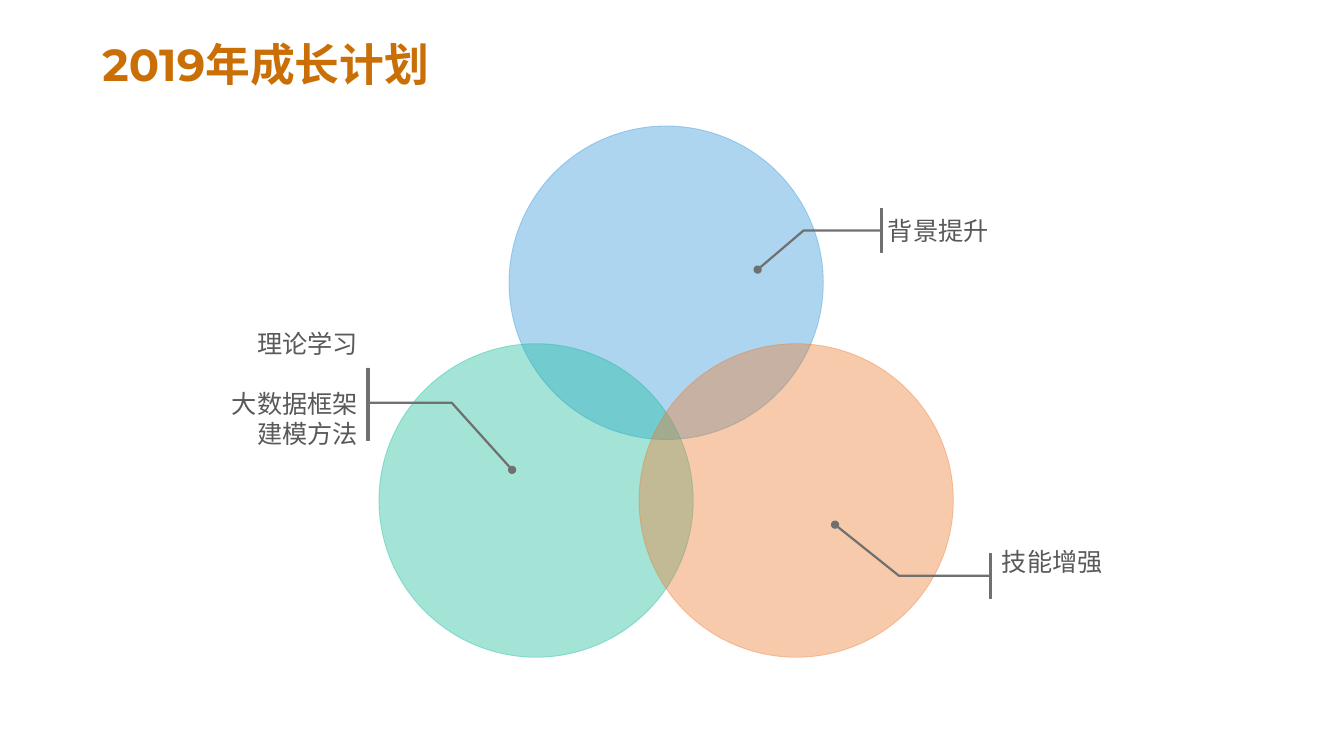
import pptx
import pptx.dml.color
import pptx.enum.shapes
import pptx.enum.text
import pptx.oxml
import pptx.util

Pt = pptx.util.Pt
RGBColor = pptx.dml.color.RGBColor
MSO_SHAPE = pptx.enum.shapes.MSO_SHAPE
PP_ALIGN = pptx.enum.text.PP_ALIGN
MSO_ANCHOR = pptx.enum.text.MSO_ANCHOR

COLORS = {
    "title": "CA6F06",
    "text": "595959",
    "leader": "717070",
    "blue": "3498DB",
    "green": "1BBC9D",
    "orange": "EE7C31",
}
CIRCLE_WIDTH, CIRCLE_HEIGHT = 224.5, 224


def paint(fill, color, opacity=100):
    """Give a fill a solid colour, opacity in percent."""
    fill.solid()
    fill.fore_color.rgb = RGBColor.from_string(COLORS[color])
    if opacity < 100:
        alpha = pptx.oxml.parse_xml(
            '<a:alpha xmlns:a="http://schemas.openxmlformats.org/drawingml/2006/main"'
            f' val="{opacity * 1000}"/>')
        fill._xPr.find(".//" + pptx.oxml.ns.qn("a:srgbClr")).append(alpha)


presentation = pptx.Presentation()
presentation.slide_width, presentation.slide_height = Pt(960), Pt(540)
slide = presentation.slides.add_slide(presentation.slide_layouts[5])
shapes = slide.shapes

title = shapes.title
title.left, title.top, title.width, title.height = Pt(66), Pt(29), Pt(828), Pt(38)
title.text_frame.text = "2019年成长计划"
title.text_frame.auto_size = pptx.enum.text.MSO_AUTO_SIZE.NONE
title.text_frame.vertical_anchor = MSO_ANCHOR.MIDDLE
paragraph = title.text_frame.paragraphs[0]
paragraph.alignment = PP_ALIGN.LEFT
paragraph.line_spacing = 0.9
paragraph.font.name = "Montserrat"
paragraph.font.size = Pt(32)
paragraph.font.bold = True
paragraph.font.color.rgb = RGBColor.from_string(COLORS["title"])

# Overlapping circles: colour, left, top
for color, left, top in [("blue", 363.6, 90), ("green", 270.7, 245.5), ("orange", 456.5, 245.5)]:
    circle = shapes.add_shape(
        MSO_SHAPE.OVAL, Pt(left), Pt(top), Pt(CIRCLE_WIDTH), Pt(CIRCLE_HEIGHT))
    circle.shadow.inherit = False
    paint(circle.fill, color, 40)
    circle.line.width = Pt(0.6)
    paint(circle.line.fill, color, 40)

# Labels: lines, alignment, left, top, width, height
labels = [
    (["理论学习", "大数据框架", "建模方法"], PP_ALIGN.RIGHT, 161.3, 234, 94.3, 87),
    (["背景提升"], PP_ALIGN.LEFT, 634.3, 147.6, 84.2, 34.6),
    (["技能增强"], PP_ALIGN.LEFT, 715.7, 383.4, 91.4, 34.6),
]
for lines, alignment, left, top, width, height in labels:
    frame = shapes.add_textbox(Pt(left), Pt(top), Pt(width), Pt(height)).text_frame
    frame.word_wrap = True
    frame.vertical_anchor = MSO_ANCHOR.MIDDLE
    frame.margin_left = frame.margin_right = frame.margin_top = frame.margin_bottom = 0
    frame.text = "\n".join(lines)
    for index, paragraph in enumerate(frame.paragraphs):
        paragraph.alignment = alignment
        if index == 1:
            paragraph.space_before = Pt(21.6)
        paragraph.font.name = "Arial"
        paragraph.font.size = Pt(18)
        paragraph.font.color.rgb = RGBColor.from_string(COLORS["text"])

# Leaders from a dot in the circle to a bar: points, bar left, bar top, bar height
leaders = [
    ([(541.2, 192.6), (574, 164.7), (630.7, 164.7)], 628.6, 149, 31),
    ([(596.5, 374.8), (642.2, 411.3), (707, 411.3)], 706.5, 395.3, 32.4),
    ([(365.8, 335.6), (322.6, 287.6), (263.5, 287.6)], 262, 262.8, 51.8),
]
for points, bar_left, bar_top, bar_height in leaders:
    start, *rest = [(Pt(x), Pt(y)) for x, y in points]
    builder = shapes.build_freeform(*start)
    builder.add_line_segments(rest, close=False)
    leader = builder.convert_to_shape()
    leader.shadow.inherit = False
    leader.fill.background()
    leader.line.width = Pt(1.6)
    paint(leader.line.fill, "leader")
    leader.line._get_or_add_ln().append(pptx.oxml.parse_xml(
        '<a:headEnd xmlns:a="http://schemas.openxmlformats.org/drawingml/2006/main"'
        ' type="oval"/>'))

    bar = shapes.add_shape(
        MSO_SHAPE.RECTANGLE, Pt(bar_left), Pt(bar_top), Pt(1.6), Pt(bar_height))
    bar.shadow.inherit = False
    paint(bar.fill, "leader")
    bar.line.width = Pt(0.6)
    paint(bar.line.fill, "leader")

presentation.save("out.pptx")
